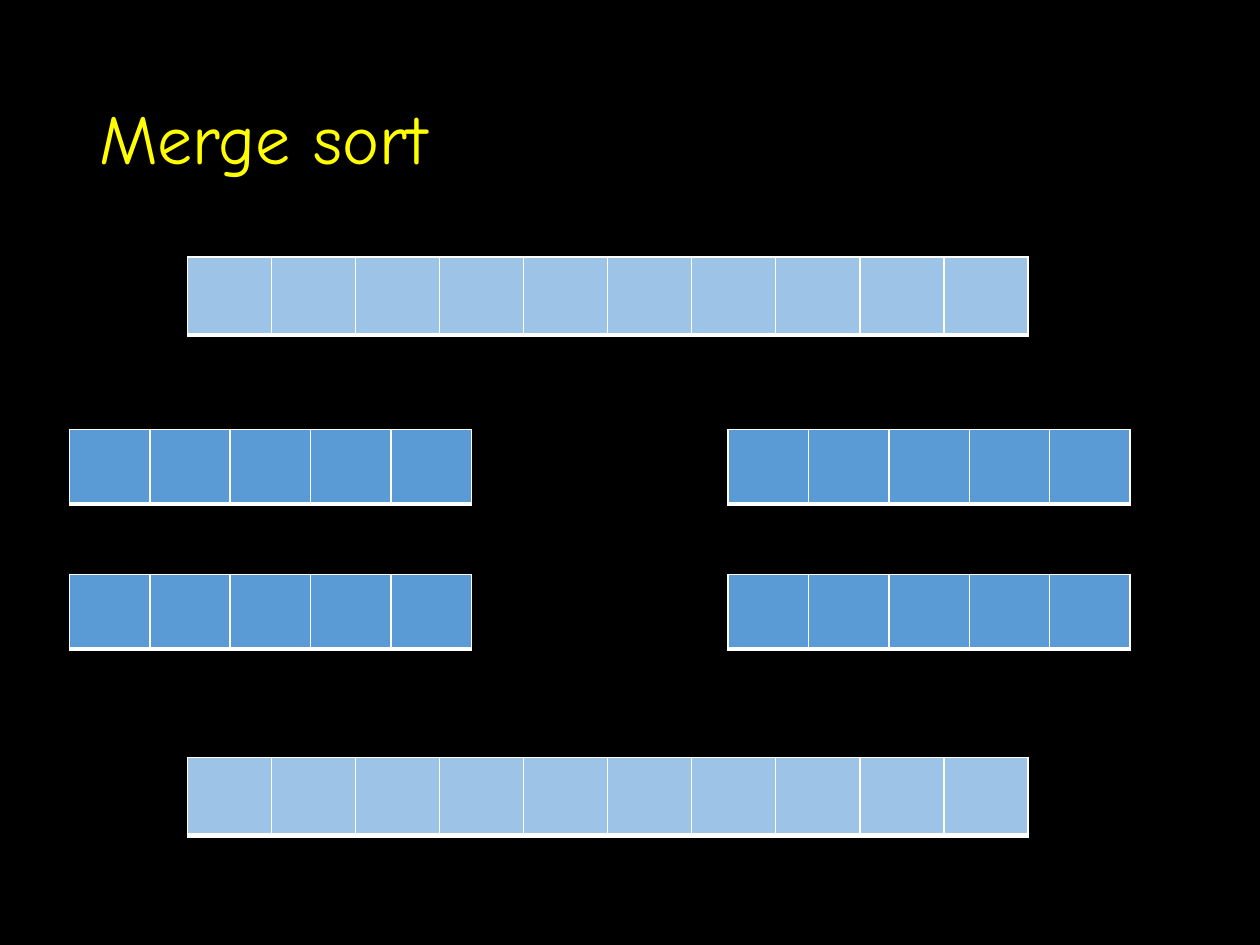
from lxml import etree
from pptx import Presentation
from pptx import util as u
from pptx.dml.color import RGBColor
from pptx.enum import text
from pptx.oxml.ns import qn

BLACK = RGBColor(0x00, 0x00, 0x00)
WHITE = RGBColor(0xFF, 0xFF, 0xFF)
YELLOW = RGBColor(0xFF, 0xFF, 0x00)
LIGHT_BLUE = RGBColor(0x9D, 0xC3, 0xE6)
BLUE = RGBColor(0x5B, 0x9B, 0xD5)
BORDERS = {"a:lnL": 1, "a:lnR": 1, "a:lnT": 1, "a:lnB": 3}


def add_text(tf, words, font="Comic Neue", size=18, color=WHITE, spacing=1.0):
    """Write one formatted paragraph into a text frame."""
    p = tf.paragraphs[0]
    p.line_spacing = spacing
    r = p.add_run()
    r.text = words
    r.font.name = font
    r.font.size = u.Pt(size)
    r.font.color.rgb = color


def add_title(s, words, left, top, width, height):
    """Place the slide title, centred vertically in its box."""
    sp = s.shapes.add_textbox(u.Cm(left), u.Cm(top), u.Cm(width), u.Cm(height))
    tf = sp.text_frame
    tf.word_wrap = True
    tf.vertical_anchor = text.MSO_ANCHOR.MIDDLE
    add_text(tf, words, size=40, color=YELLOW, spacing=0.9)


def set_borders(cell):
    """Draw white borders round a cell, with a heavier bottom edge."""
    tc_pr = cell._tc.get_or_add_tcPr()
    for i, (tag, points) in enumerate(BORDERS.items()):
        ln = etree.Element(qn(tag), w=str(u.Pt(points)))
        fill = etree.SubElement(ln, qn("a:solidFill"))
        etree.SubElement(fill, qn("a:srgbClr"), val=str(WHITE))
        tc_pr.insert(i, ln)


def add_array(s, count, color, left, top, width, height):
    """Place a one-row table of equal empty cells in the given box."""
    table = s.shapes.add_table(1, count, u.Cm(left), u.Cm(top),
                               u.Cm(width), u.Cm(height)).table
    for column in table.columns:
        column.width = u.Cm(width / count)
    for cell in table.iter_cells():
        cell.fill.solid()
        cell.fill.fore_color.rgb = color
        set_borders(cell)


def add_halves(s, left, top, width, height):
    """Place two five-cell arrays at the ends of the given box."""
    half_width = 8.1
    for x in (left, left + width - half_width):
        add_array(s, 5, BLUE, x, top, half_width, height)


def main():
    """Build the merge sort slide."""
    prs = Presentation()
    prs.slide_width, prs.slide_height = u.Cm(25.4), u.Cm(19.05)
    s = prs.slides.add_slide(prs.slide_layouts[6])
    s.background.fill.solid()
    s.background.fill.fore_color.rgb = BLACK

    add_title(s, "Merge sort", 1.75, 1.02, 21.9, 3.68)
    add_array(s, 10, LIGHT_BLUE, 3.78, 5.18, 16.94, 1.57)
    for top in (8.66, 11.58):
        add_halves(s, 1.4, top, 21.38, 1.5)
    add_array(s, 10, LIGHT_BLUE, 3.78, 15.27, 16.94, 1.57)
    prs.save("out.pptx")


if __name__ == "__main__":
    main()
